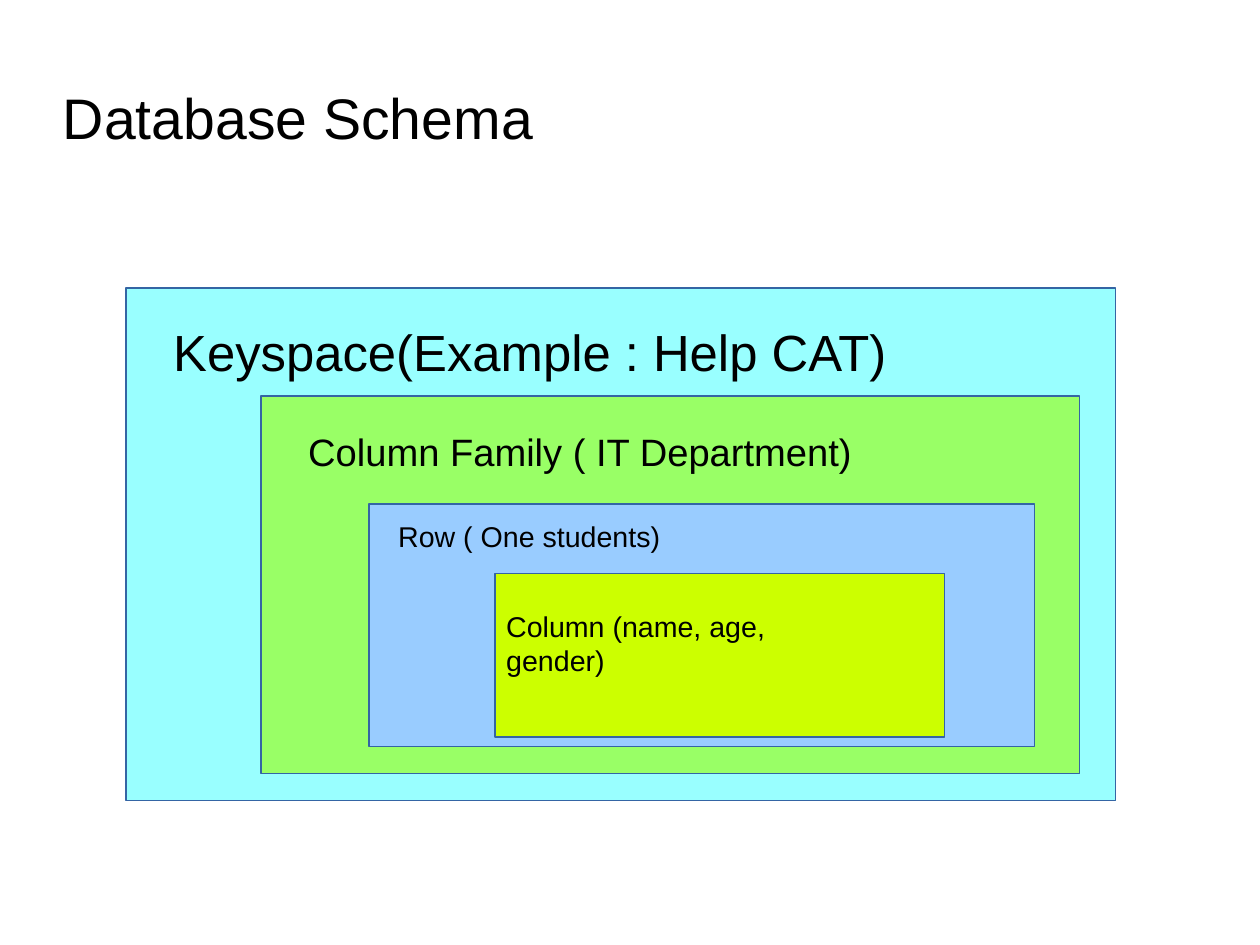
"""Build the database schema slide with its nested levels."""
from dataclasses import dataclass

from pptx import Presentation
from pptx.dml.color import RGBColor as Rgb
from pptx.enum.shapes import MSO_SHAPE as Kind
from pptx.enum.text import MSO_ANCHOR as Anchor
from pptx.slide import Slide
from pptx.text.text import TextFrame as Frame
from pptx.util import Cm, Pt

FONT = "Arial"
HUES = {
    "text": "000000",
    "edge": "3465A4",
    "space": "99FFFF",
    "group": "99FF66",
    "row": "99CCFF",
    "cell": "CCFF00",
}


@dataclass(frozen=True)
class Area:
    left: float
    top: float
    width: float
    height: float

    def place(self) -> tuple[Cm, Cm, Cm, Cm]:
        return Cm(self.left), Cm(self.top), Cm(self.width), Cm(self.height)


@dataclass(frozen=True)
class Level:
    hue: str
    box: Area
    label: Area
    text: str
    size: int
    wrap: bool = True


TITLE = Area(1.4, 1.6, 20, 2)
LEVELS = (
    Level("space", Area(2.8, 6.4, 22, 11.4), Area(3.6, 7, 17, 1.52),
          "Keyspace(Example\u00a0: Help CAT)", 32),
    Level("group", Area(5.8, 8.8, 18.2, 8.4), Area(6.6, 9.4, 13, 1.2),
          "Column Family ( IT Department)", 24),
    Level("row", Area(8.2, 11.2, 14.8, 5.4), Area(8.6, 11.4, 9, 0.96),
          "Row ( One students)", 18),
    Level("cell", Area(11, 12.75, 10, 3.63), Area(11, 13.4, 8.6, 0.96),
          "Column (name, age, gender)", 18, False),
)


def hue(name: str) -> Rgb:
    return Rgb.from_string(HUES[name])


def write(slide: Slide, area: Area, text: str, size: int,
          wrap: bool = True) -> Frame:
    frame = slide.shapes.add_textbox(*area.place()).text_frame
    frame.word_wrap = wrap
    para = frame.paragraphs[0]
    para.text = text
    para.font.name = FONT
    para.font.size = Pt(size)
    para.font.color.rgb = hue("text")
    return frame


def head(slide: Slide) -> None:
    frame = write(slide, TITLE, "Database Schema", 36)
    frame.vertical_anchor = Anchor.MIDDLE
    frame.margin_left = frame.margin_right = 0
    frame.margin_top = frame.margin_bottom = 0


def draw(slide: Slide, level: Level) -> None:
    box = slide.shapes.add_shape(Kind.RECTANGLE, *level.box.place())
    box.shadow.inherit = False
    box.fill.solid()
    box.fill.fore_color.rgb = hue(level.hue)
    box.line.color.rgb = hue("edge")
    box.line.width = Pt(0)
    write(slide, level.label, level.text, level.size, level.wrap)


def main() -> None:
    deck = Presentation()
    deck.slide_width, deck.slide_height = Cm(28), Cm(21)
    slide = deck.slides.add_slide(deck.slide_layouts[6])
    head(slide)
    for level in LEVELS:
        draw(slide, level)
    deck.save("out.pptx")


main()
